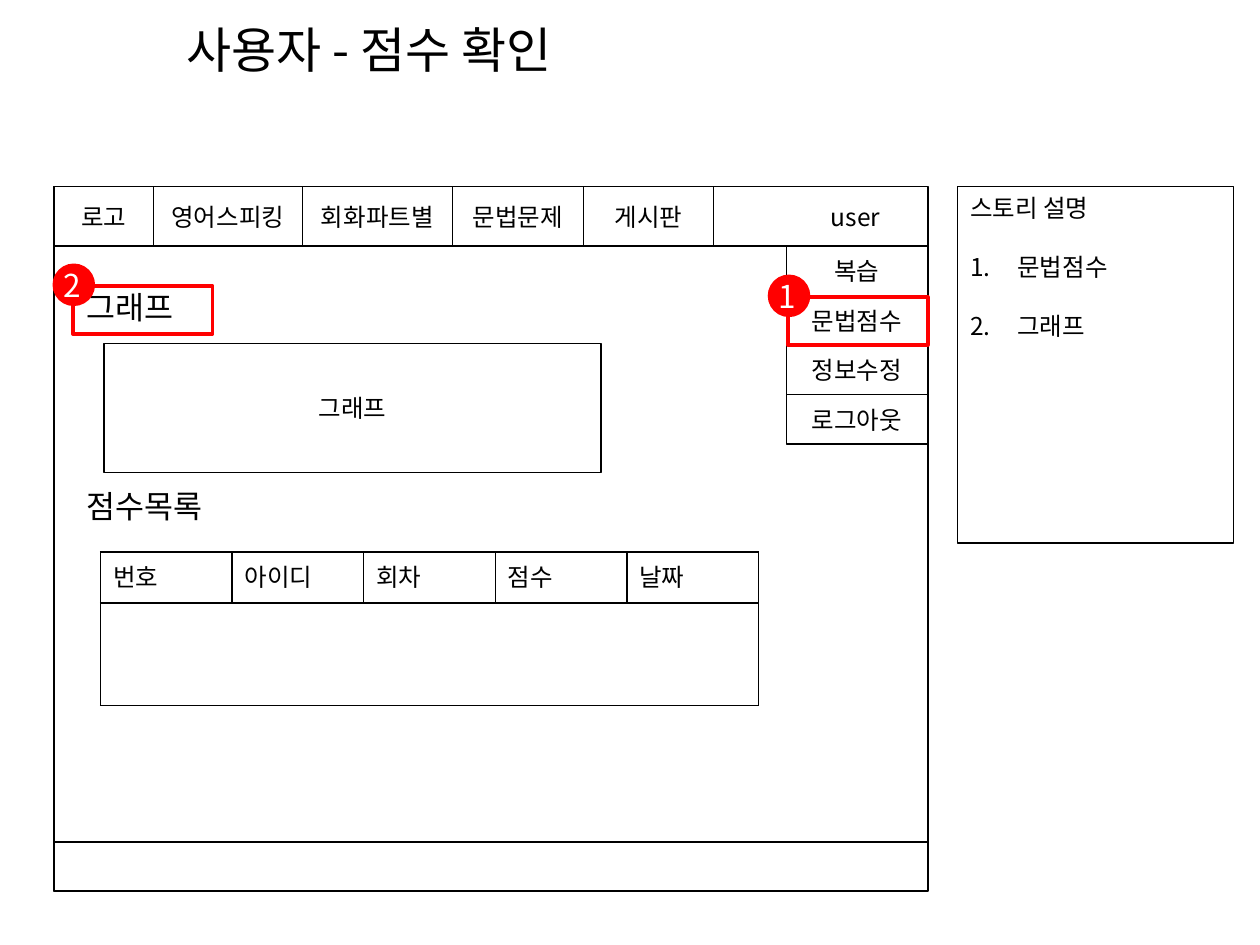
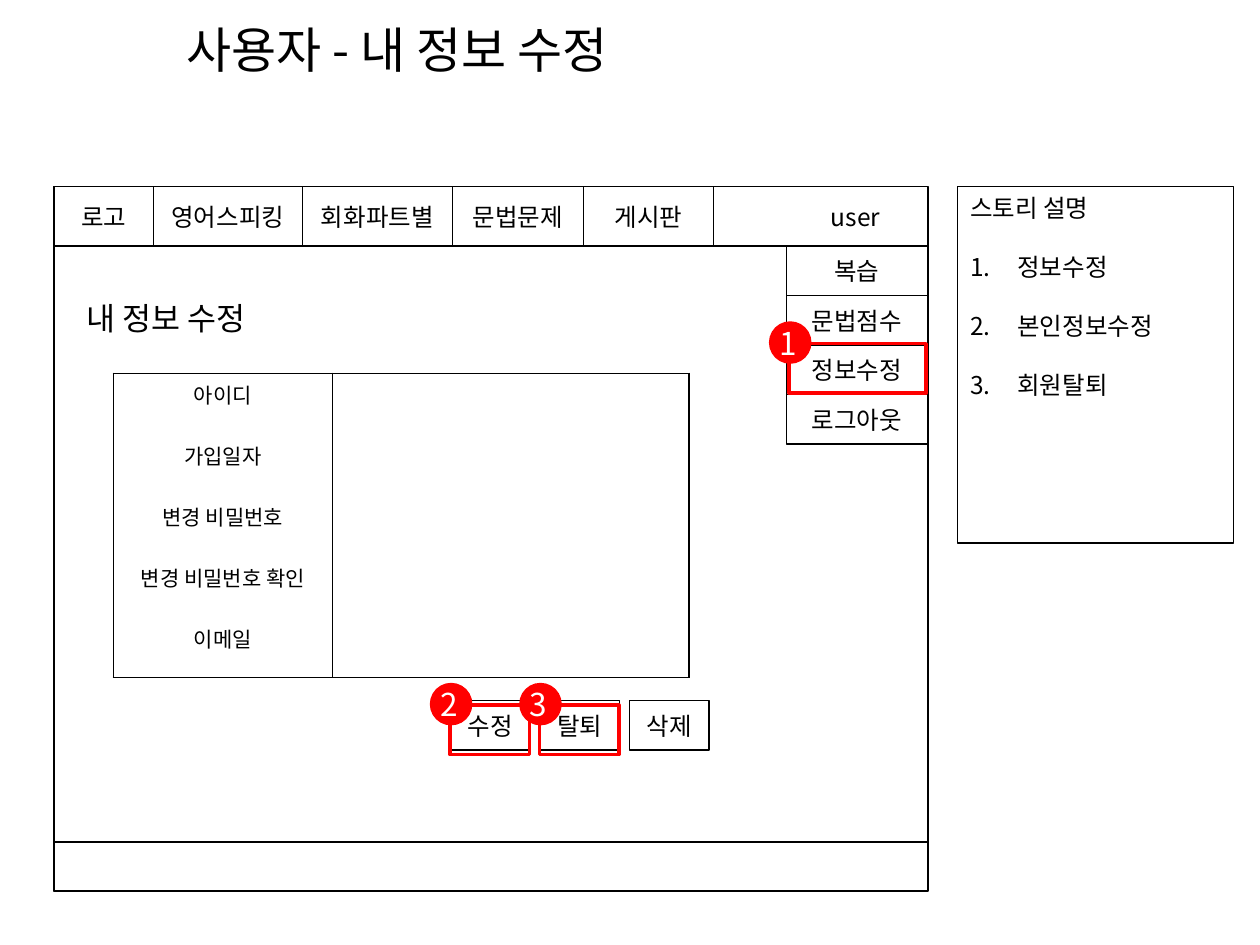
from lxml.etree import SubElement
from pptx import Presentation
from pptx.dml.color import RGBColor
from pptx.enum.shapes import MSO_SHAPE
from pptx.enum.text import MSO_ANCHOR, PP_ALIGN
from pptx.oxml.ns import qn
from pptx.util import Pt

FONT = "Noto Sans CJK KR"
COLORS = {"ink": "000000", "accent": "FF0000", "paper": "FFFFFF"}
BADGE_SIZE = 22.3
LINE_FACTOR = 1.2
STORY_INDENT = 27
STORY_GAP = 16.9

FRAME = (31, 106.6, 499.3, 402.4)
HEADER = (31, 106.6, 499, 34)
FOOTER = (31, 481, 499, 28)
STORY = (547.2, 106.6, 157.7, 203.8)
TABS = [("로고", 56.7), ("영어스피킹", 85), ("회화파트별", 86), ("문법문제", 74.6), ("게시판", 74.6)]
USER_MENU = ["복습", "문법점수", "정보수정", "로그아웃"]
MENU_LEFT, MENU_TOP, MENU_WIDTH, MENU_STEP = 449.3, 140.6, 80.8, 28.3

PAGES = [
    {
        "title": "사용자 - 점수 확인",
        "headings": [("그래프", 161.3), ("점수목록", 275)],
        "boxes": [("그래프", (59.5, 196.4, 283.9, 73.6))],
        "table": {
            "at": (57.5, 315.4),
            "columns": [75.2] * 5,
            "row_height": 29.2,
            "rows": [["번호", "아이디", "회차", "점수", "날짜"], [""] * 5, [""] * 5],
            "size": 14,
            "align": PP_ALIGN.LEFT,
            "header_rule": True,
            "split_rows": [0],
        },
        "callouts": [(450.3, 169.7, 79.9, 27.5), (41.6, 163.4, 79.9, 27.5)],
        "story": ["문법점수", "그래프"],
    },
    {
        "title": "사용자 - 내 정보 수정",
        "headings": [("내 정보 수정", 167.2)],
        "boxes": [
            (label, (257.6 + index * 51.1, 400.3, 45.4, 28.3))
            for index, label in enumerate(["수정", "탈퇴", "삭제"])
        ],
        "table": {
            "at": (64.8, 213.3),
            "columns": [125.2, 203.8],
            "row_height": 34.8,
            "rows": [
                [label, ""]
                for label in ["아이디", "가입일자", "변경 비밀번호", "변경 비밀번호 확인", "이메일"]
            ],
            "size": 12,
            "align": PP_ALIGN.CENTER,
            "header_rule": False,
            "split_rows": range(5),
        },
        "callouts": [
            (451, 196.4, 78.3, 28.3),
            (257.2, 403, 45.4, 28.3),
            (308.3, 403, 45.4, 28.3),
        ],
        "story": ["정보수정", "본인정보수정", "회원탈퇴"],
    },
]


def write(paragraph, text, size, color="ink", align=PP_ALIGN.LEFT):
    paragraph.alignment = align
    run = paragraph.add_run()
    run.text = text
    run.font.size = Pt(size)
    run.font.name = FONT
    run.font.color.rgb = RGBColor.from_string(COLORS[color])
    SubElement(run.font._element, qn("a:ea"), typeface=FONT)


def add_box(slide, at, text="", kind=MSO_SHAPE.RECTANGLE, line="ink", width=0.75, fill=None):
    shape = slide.shapes.add_shape(kind, *map(Pt, at))
    shape.shadow.inherit = False
    shape.line.color.rgb = RGBColor.from_string(COLORS[line])
    shape.line.width = Pt(width)
    if fill:
        shape.fill.solid()
        shape.fill.fore_color.rgb = RGBColor.from_string(COLORS[fill])
    else:
        shape.fill.background()
    shape.text_frame.vertical_anchor = MSO_ANCHOR.MIDDLE
    if text:
        write(shape.text_frame.paragraphs[0], text, 14, align=PP_ALIGN.CENTER)
    return shape


presentation = Presentation()
presentation.slide_width = Pt(720)
presentation.slide_height = Pt(540)

for page in PAGES:
    slide = presentation.slides.add_slide(presentation.slide_layouts[6])

    for area in (FRAME, HEADER, FOOTER):
        add_box(slide, area, width=1)

    tab_left = HEADER[0]
    for label, tab_width in TABS:
        add_box(slide, (tab_left, HEADER[1], tab_width, HEADER[3]), label)
        tab_left += tab_width

    for index, label in enumerate(USER_MENU):
        add_box(slide, (MENU_LEFT, MENU_TOP + index * MENU_STEP, MENU_WIDTH, MENU_STEP), label)

    user = slide.shapes.add_textbox(Pt(MENU_LEFT), Pt(HEADER[1]), Pt(79.2), Pt(HEADER[3]))
    user.text_frame.word_wrap = True
    user.text_frame.vertical_anchor = MSO_ANCHOR.MIDDLE
    write(user.text_frame.paragraphs[0], "user", 14, align=PP_ALIGN.CENTER)

    texts = [(page["title"], (99.4, 7.9, 607, 41), 28)]
    texts += [(heading, (42.5, top, 141.8, 28.8), 18) for heading, top in page["headings"]]
    for text, at, size in texts:
        text_box = slide.shapes.add_textbox(*map(Pt, at))
        text_box.text_frame.word_wrap = True
        paragraph = text_box.text_frame.paragraphs[0]
        paragraph.line_spacing = Pt(size * LINE_FACTOR)
        write(paragraph, text, size)

    for label, at in page["boxes"]:
        add_box(slide, at, label)

    grid = page["table"]
    rows, columns = grid["rows"], grid["columns"]
    last_row, last_column = len(rows) - 1, len(columns) - 1
    table = slide.shapes.add_table(
        len(rows), len(columns), *map(Pt, grid["at"]),
        Pt(sum(columns)), Pt(grid["row_height"] * len(rows)),
    ).table
    table.first_row = False
    table.horz_banding = False
    for column, column_width in zip(table.columns, columns):
        column.width = Pt(column_width)
    for row_index, labels in enumerate(rows):
        table.rows[row_index].height = Pt(grid["row_height"])
        split = row_index in grid["split_rows"]
        for column_index, label in enumerate(labels):
            cell = table.cell(row_index, column_index)
            paragraph = cell.text_frame.paragraphs[0]
            if label:
                write(paragraph, label, grid["size"], align=grid["align"])
            else:
                SubElement(paragraph._p, qn("a:endParaRPr"), sz=str(grid["size"] * 100))
            borders = {
                "a:lnL": split or column_index == 0,
                "a:lnR": split or column_index == last_column,
                "a:lnT": row_index == 0 or (grid["header_rule"] and row_index == 1),
                "a:lnB": row_index == last_row or (grid["header_rule"] and row_index == 0),
            }
            properties = cell._tc.get_or_add_tcPr()
            for tag, visible in borders.items():
                border = SubElement(properties, qn(tag), w=str(Pt(1)))
                if visible:
                    color = SubElement(border, qn("a:solidFill"))
                    SubElement(color, qn("a:srgbClr"), val=COLORS["ink"])
                else:
                    SubElement(border, qn("a:noFill"))
            cell.fill.background()

    for number, at in enumerate(page["callouts"], start=1):
        add_box(slide, at, line="accent", width=2)
        badge = add_box(
            slide, (at[0] - 10.6, at[1] - 11.8, BADGE_SIZE, BADGE_SIZE),
            kind=MSO_SHAPE.OVAL, line="accent", width=2, fill="accent",
        )
        frame = badge.text_frame
        frame.word_wrap = False
        frame.margin_left = frame.margin_top = frame.margin_bottom = 0
        frame.margin_right = Pt(2)
        write(frame.paragraphs[0], str(number), 18, "paper", PP_ALIGN.CENTER)

    story = add_box(slide, STORY).text_frame
    story.vertical_anchor = MSO_ANCHOR.TOP
    write(story.paragraphs[0], "스토리 설명", 14)
    for item in page["story"]:
        paragraph = story.add_paragraph()
        write(paragraph, item, 14)
        paragraph.space_before = Pt(STORY_GAP)
        properties = paragraph._p.get_or_add_pPr()
        properties.set("marL", str(Pt(STORY_INDENT)))
        properties.set("indent", str(-Pt(STORY_INDENT)))
        SubElement(properties, qn("a:buFont"), typeface=FONT)
        SubElement(properties, qn("a:buAutoNum"), type="arabicPeriod")
    for paragraph in story.paragraphs:
        paragraph.line_spacing = Pt(14 * LINE_FACTOR)

presentation.save("out.pptx")
